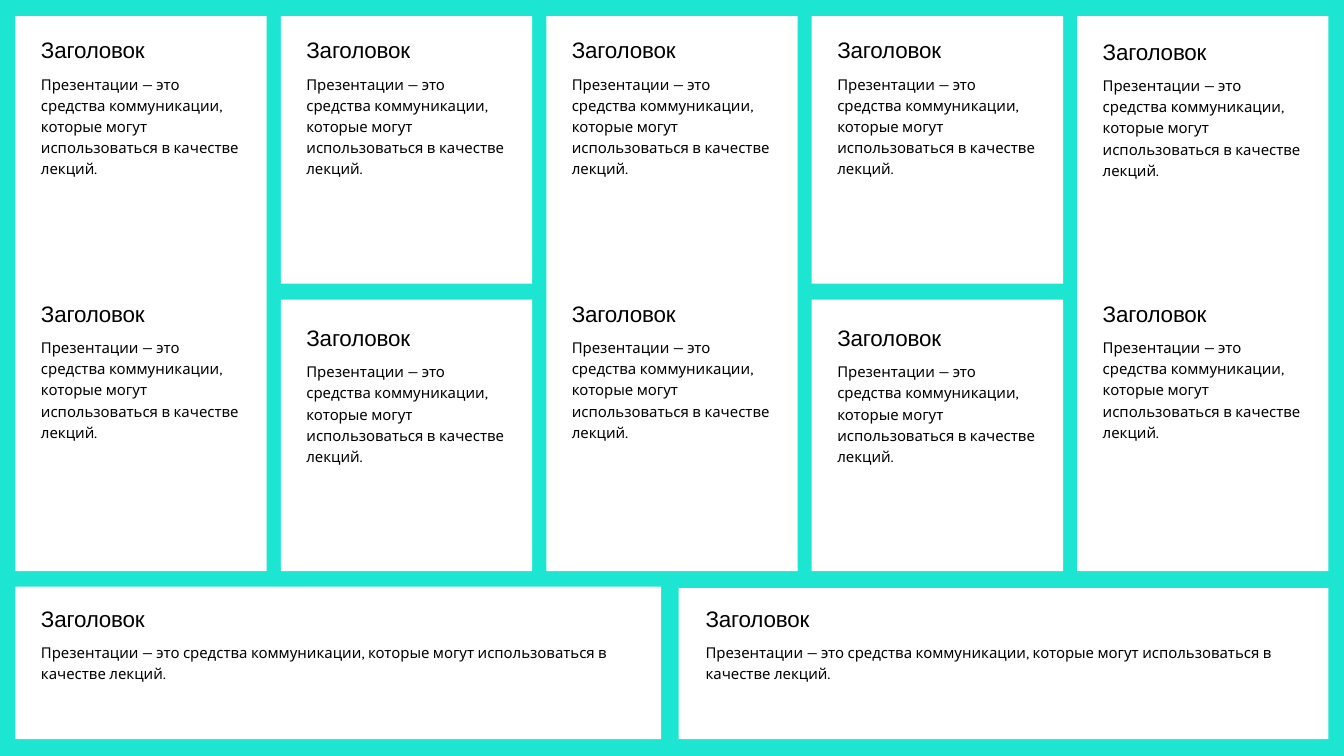
from pptx import Presentation
from pptx.dml.color import RGBColor
from pptx.enum import shapes, text
from pptx.util import Inches, Pt

TEAL, WHITE, BLACK = "1CE6D2", "FFFFFF", "000000"
TITLE = "Заголовок"
BODY = ("Презентации — это средства коммуникации, "
        "которые могут использоваться в качестве лекций.")
LEFT, TOP, PITCH, CARD_W = 0.23, 0.24, 3.95, 3.74
TALL_H, UPPER_H, LOWER_TOP, LOWER_H = 8.26, 3.98, 4.46, 4.04
INSET = 0.38


def paint(fill, color):
    """Give a fill one solid colour."""
    fill.solid()
    fill.fore_color.rgb = RGBColor.from_string(color)


def add_panel(s, x, y, w, h):
    """Add a plain white panel."""
    sp = s.shapes.add_shape(shapes.MSO_SHAPE.RECTANGLE,
                            Inches(x), Inches(y), Inches(w), Inches(h))
    sp.shadow.inherit = False
    paint(sp.fill, WHITE)
    sp.line.fill.background()


def add_text(s, x, y, w, h, words, font, size, leading, spacing=None):
    """Add a wrapped text box without margins."""
    sp = s.shapes.add_textbox(Inches(x), Inches(y), Inches(w), Inches(h))
    tf = sp.text_frame
    tf.margin_left = tf.margin_right = tf.margin_top = tf.margin_bottom = 0
    tf.word_wrap = True
    tf.auto_size = text.MSO_AUTO_SIZE.SHAPE_TO_FIT_TEXT
    tf.text = words
    p = tf.paragraphs[0]
    p.line_spacing = Pt(leading)
    r = p.runs[0]
    r.font.name, r.font.size = font, Pt(size)
    paint(r.font.fill, BLACK)
    if spacing is not None:
        r.font._element.set("spc", str(spacing))


def add_entry(s, x, y, w, body_h):
    """Add a heading with its paragraph below."""
    add_text(s, x, y, w, 0.42, TITLE, "Arial", 24, 31.2, -20)
    add_text(s, x, y + 0.56, w, body_h, BODY, "Karla", 16, 22.7)


def main():
    """Build the slide of white panels and save it."""
    prs = Presentation()
    prs.slide_width, prs.slide_height = Inches(20), Inches(11.25)
    s = prs.slides.add_slide(prs.slide_layouts[6])
    paint(s.background.fill, TEAL)

    columns = [LEFT + i * PITCH for i in range(5)]
    for i, x in enumerate(columns):
        if i % 2:
            add_panel(s, x, TOP, CARD_W, UPPER_H)
            add_panel(s, x, LOWER_TOP, CARD_W, LOWER_H)
        else:
            add_panel(s, x, TOP, CARD_W, TALL_H)
    add_panel(s, LEFT, 8.73, 9.61, 2.27)
    add_panel(s, 10.1, 8.75, 9.67, 2.25)

    for x, upper, lower in zip(columns, (0.51, 0.51, 0.51, 0.51, 0.53),
                               (4.43, 4.79, 4.43, 4.79, 4.43)):
        for y in (upper, lower):
            add_entry(s, x + INSET, y, 2.97, 1.54)
    for x in (LEFT + INSET, 10.5):
        add_entry(s, x, 8.97, 8.86, 0.6)

    prs.save("out.pptx")


if __name__ == "__main__":
    main()
